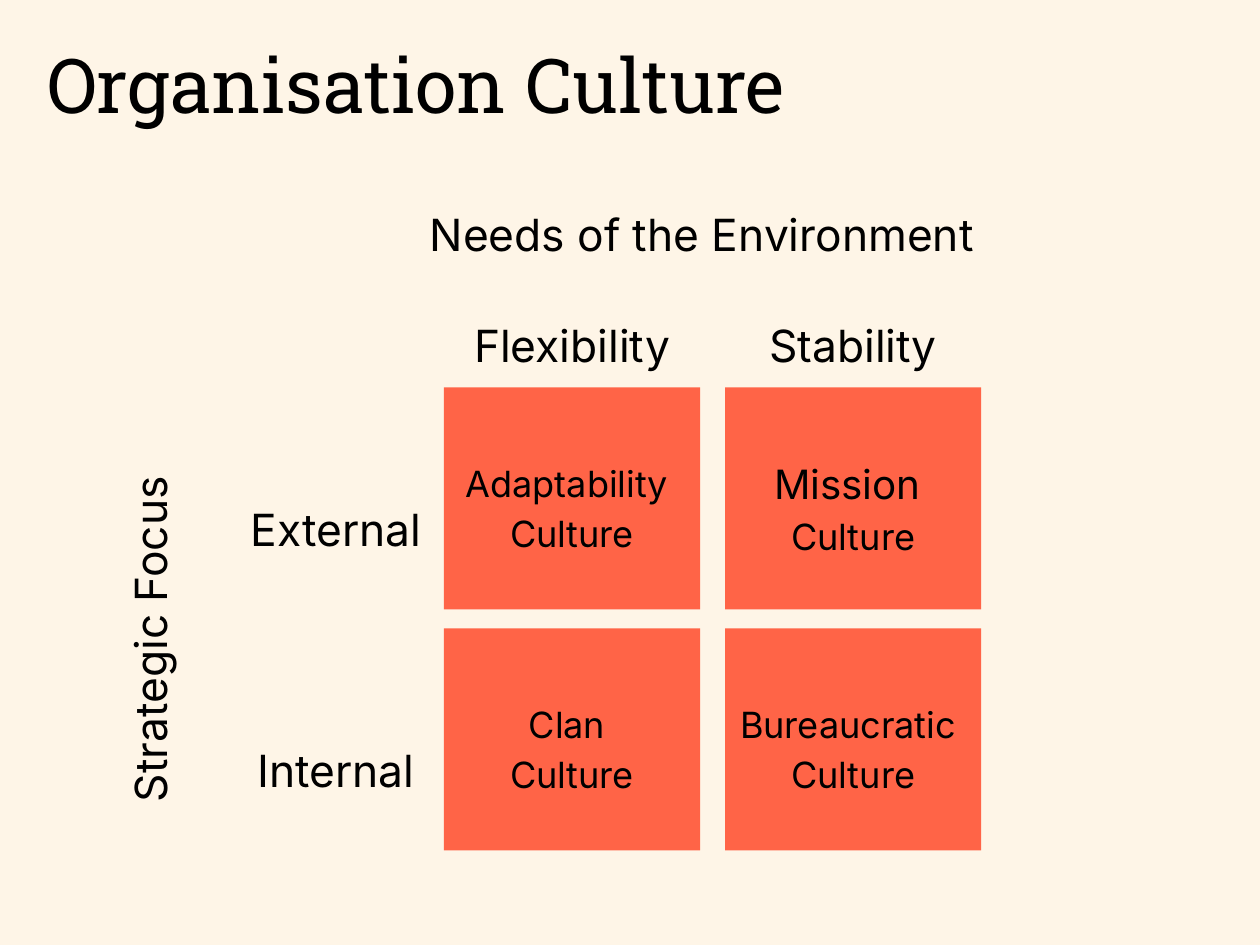
import pptx
import pptx.dml.color
import pptx.enum.shapes
import pptx.enum.text
import pptx.util

Inches, Pt = pptx.util.Inches, pptx.util.Pt
ALIGN = pptx.enum.text.PP_ALIGN
ANCHOR = pptx.enum.text.MSO_ANCHOR

COLORS = {"background": "FEF5E7", "cell": "FF6447", "text": "000000"}
TITLE = {"name": "Roboto Slab", "size": Pt(46)}
LABEL = {"name": "Inter", "size": Pt(27)}
CELL = {"name": "Inter", "size": Pt(22)}
MISSION = {"name": "Inter", "size": Pt(24.6)}

LEFT, TOP = 3.76, 3.28
CELL_W, CELL_H = 2.17, 1.88
STEP_X, STEP_Y = 2.38, 2.04

COLUMNS = ["Flexibility", "Stability"]
ROWS = ["External", "Internal"]
CULTURES = [
    [("Adaptability ", CELL, 30.8), ("Mission ", MISSION, 34.4)],
    [("Clan ", CELL, 30.8), ("Bureaucratic ", CELL, 30.8)],
]


def rgb(key):
    return pptx.dml.color.RGBColor.from_string(COLORS[key])


def write(sp, lines, align=ALIGN.CENTER, anchor=ANCHOR.TOP, inset_top=0):
    """Fill a shape with (text, font, line spacing in points) lines."""
    tf = sp.text_frame
    frame = {"word_wrap": True, "auto_size": pptx.enum.text.MSO_AUTO_SIZE.NONE,
             "vertical_anchor": anchor, "margin_left": 0, "margin_right": 0,
             "margin_top": Inches(inset_top), "margin_bottom": 0}
    for key, value in frame.items():
        setattr(tf, key, value)
    for i, (text, font, spacing) in enumerate(lines):
        p = tf.add_paragraph() if i else tf.paragraphs[0]
        p.alignment = align
        p.line_spacing = Pt(spacing)
        p.space_before = Pt(0)
        r = p.add_run()
        r.text = text
        for key, value in font.items():
            setattr(r.font, key, value)
        r.font.color.rgb = rgb("text")


def add_title(s, text):
    sp = s.shapes.title
    sp.left, sp.top = Inches(0.4), Inches(0.46)
    sp.width, sp.height = Inches(7.06), Inches(0.67)
    write(sp, [(text, TITLE, 45.5)], align=ALIGN.LEFT)


def add_label(s, text, left, top, width, height=0.48, rotation=0):
    sp = s.shapes.add_textbox(Inches(left), Inches(top), Inches(width), Inches(height))
    sp.rotation = rotation
    write(sp, [(text, LABEL, 37.8)])


def add_cell(s, left, top, first_line):
    sp = s.shapes.add_shape(pptx.enum.shapes.MSO_SHAPE.RECTANGLE, Inches(left),
                            Inches(top), Inches(CELL_W), Inches(CELL_H))
    sp.shadow.inherit = False
    sp.fill.solid()
    sp.fill.fore_color.rgb = rgb("cell")
    sp.line.fill.background()
    write(sp, [first_line, ("Culture", CELL, 30.8)],
          anchor=ANCHOR.MIDDLE, inset_top=0.1)


def add_matrix(s):
    for col, text in enumerate(COLUMNS):
        add_label(s, text, LEFT + col * STEP_X, 2.62, CELL_W)
    for row, text in enumerate(ROWS):
        top = TOP + row * STEP_Y
        add_label(s, text, 2.08, top + 0.9, 1.53)
        for col, first_line in enumerate(CULTURES[row]):
            add_cell(s, LEFT + col * STEP_X, top, first_line)


def main():
    prs = pptx.Presentation()
    prs.slide_width, prs.slide_height = Inches(10.67), Inches(8)
    s = prs.slides.add_slide(prs.slide_layouts.get_by_name("Title Only"))
    s.background.fill.solid()
    s.background.fill.fore_color.rgb = rgb("background")
    add_title(s, "Organisation Culture")
    add_matrix(s)
    add_label(s, "Needs of the Environment ", 3.56, 1.68, 4.87, 0.5)
    add_label(s, "Strategic Focus", -0.19, 5.16, 2.81, 0.5, rotation=270)
    prs.save("out.pptx")


if __name__ == "__main__":
    main()
